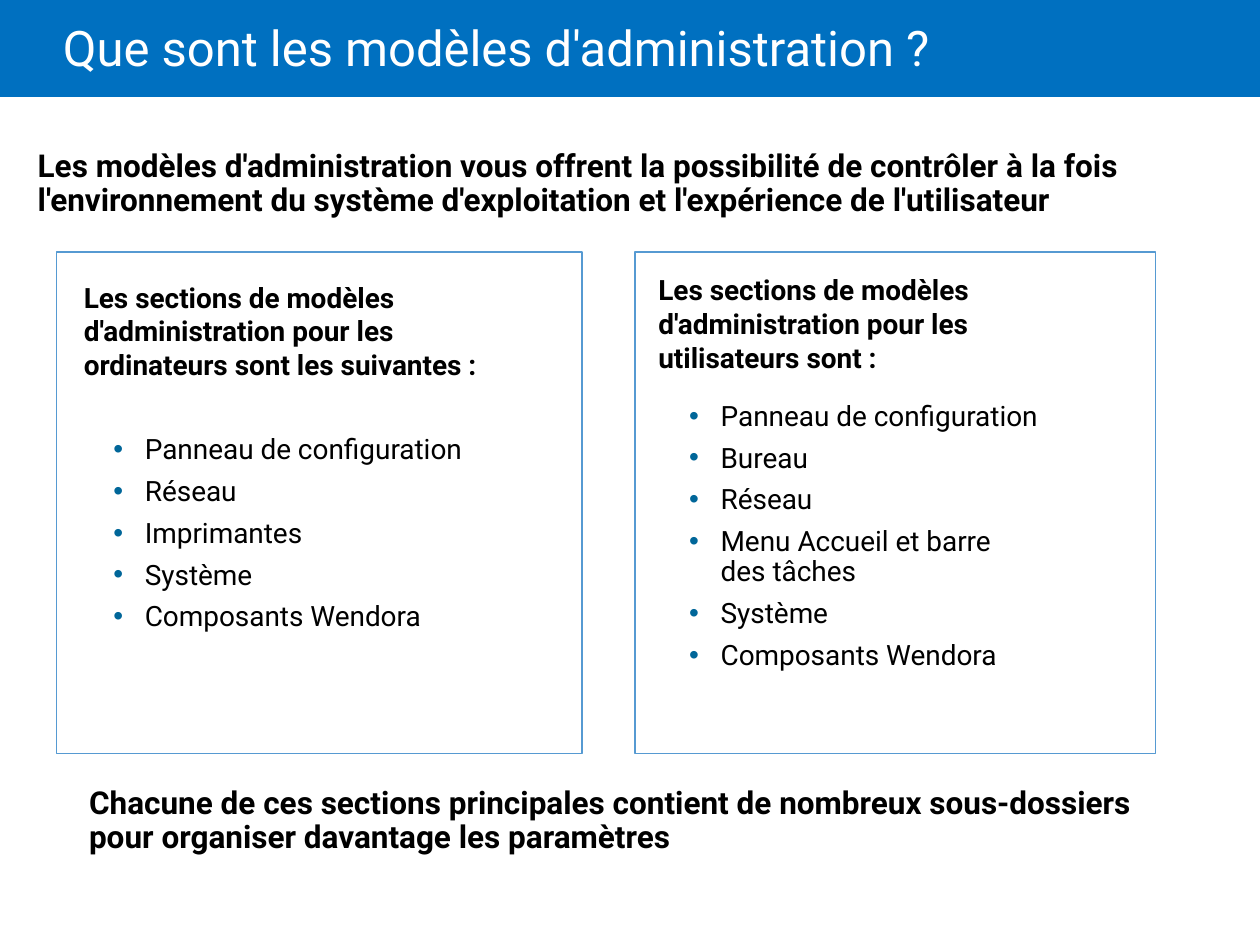
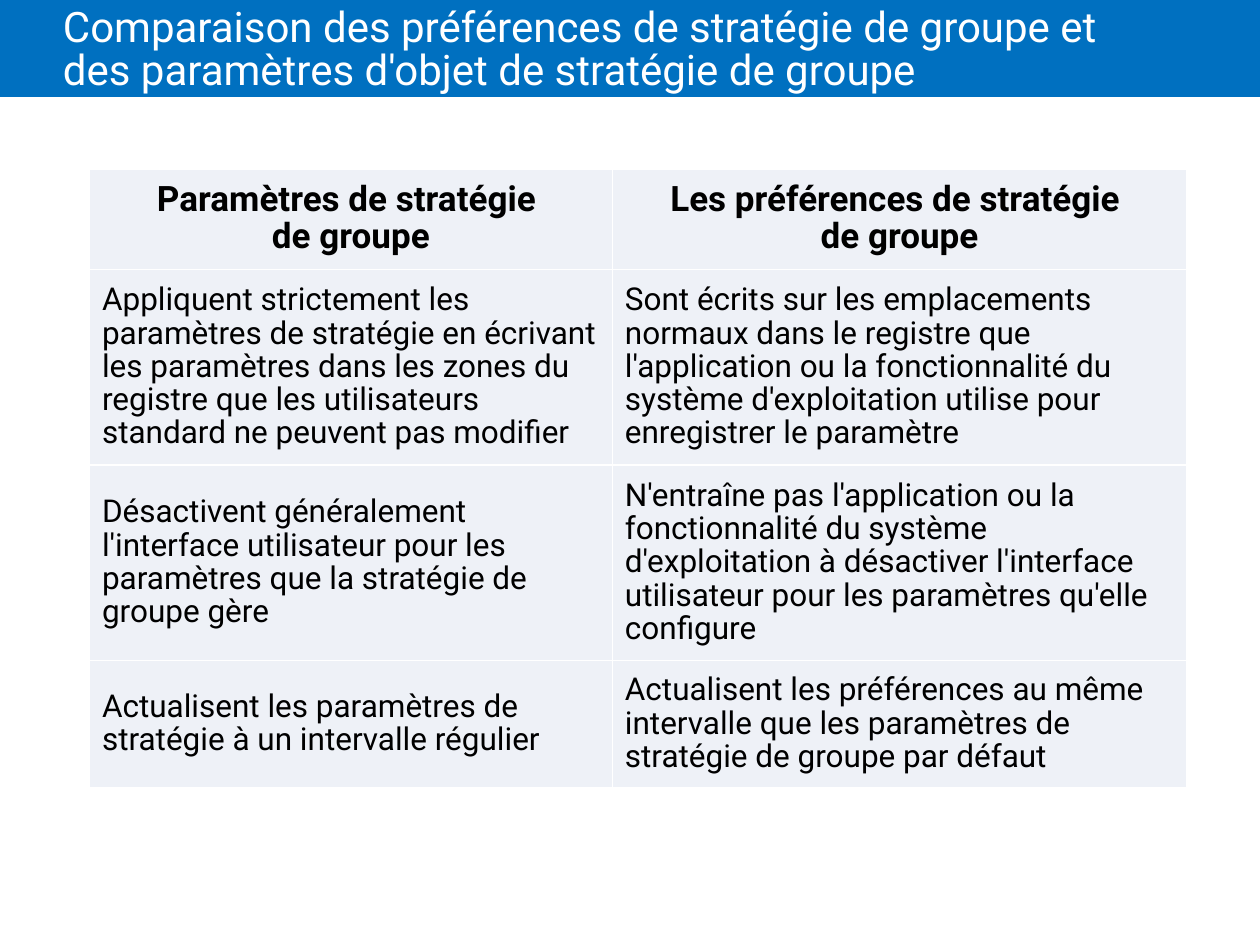
from copy import deepcopy
from dataclasses import dataclass

from lxml.etree import SubElement
from pptx import Presentation
from pptx.dml.color import RGBColor as Rgb
from pptx.enum.shapes import MSO_SHAPE as Preset
from pptx.enum.text import MSO_ANCHOR as Anchor, PP_ALIGN as Align
from pptx.oxml.ns import qn
from pptx.util import Inches, Pt

COLUMNS, ROWS = 100, 75
UNIT = Inches(0.1)


@dataclass(frozen=True)
class Theme:
    font: str = "Roboto"
    band: str = "0070C0"
    paper: str = "FFFFFF"
    ink: str = "000000"
    bullet: str = "006699"
    frame: str = "569AD2"
    cell: str = "EEF1F7"
    title_size: int = 28
    long_title_size: int = 24
    header_size: int = 20
    statement_size: int = 18
    list_size: int = 16
    frame_width: float = 0.75
    border_width: int = 1


THEME = Theme()


@dataclass(frozen=True)
class Box:
    left: float
    top: float
    width: float
    height: float

    def inside(self, column, row, width, height):
        return Box(self.left + column, self.top + row, width, height)

    def emu(self):
        return [round(n * UNIT) for n in (self.left, self.top, self.width, self.height)]


SLIDE = Box(0, 0, COLUMNS, ROWS)

ADMIN_TITLE = "Que sont les modèles d'administration ?"
ADMIN_INTRO = (
    "Les modèles d'administration vous offrent la possibilité de contrôler à la fois "
    "l'environnement du système d'exploitation et l'expérience de l'utilisateur"
)
ADMIN_SUMMARY = (
    "Chacune de ces sections principales contient de nombreux sous-dossiers "
    "pour organiser davantage les paramètres"
)
SECTION_LEAD = "Les sections de modèles d'administration pour les \v"
ADMIN_PANELS = [
    {
        "frame": (4.5, 20, 41.7, 39.8),
        "heading_at": (0.7, 1.3, 42.3, 38.3),
        "list_at": (3.2, 9.7, 36.8, 25.4),
        "audience": "ordinateurs sont les suivantes :",
        "sections": ["Panneau de configuration", "Réseau", "Imprimantes", "Système",
                     "Composants Wendora"],
    },
    {
        "frame": (50.4, 20, 41.3, 39.8),
        "heading_at": (0.4, 0.7, 43.4, 38.3),
        "list_at": (3, 9.9, 38.3, 25.4),
        "audience": "utilisateurs sont :",
        "sections": ["Panneau de configuration", "Bureau", "Réseau",
                     "Menu Accueil et barre \vdes tâches", "Système",
                     "Composants Wendora"],
    },
]

COMPARISON_TITLE = (
    "Comparaison des préférences de stratégie de groupe et "
    "des paramètres d'objet de stratégie de groupe"
)
COMPARISON_COLUMNS = [41.5, 45.6]
COMPARISON_ROWS = [7.8, 15.2, 15.2, 9.8]
COMPARISON = [
    ("Paramètres de stratégie \vde groupe",
     "Les préférences de stratégie \vde groupe"),
    ("Appliquent strictement les paramètres de stratégie en écrivant les paramètres "
     "dans les zones du registre que les utilisateurs standard ne peuvent pas modifier",
     "Sont écrits sur les emplacements normaux dans le registre que l'application ou la "
     "fonctionnalité du système d'exploitation utilise pour enregistrer le paramètre"),
    ("Désactivent généralement l'interface utilisateur pour les paramètres que la "
     "stratégie de groupe gère",
     "N'entraîne pas l'application ou la fonctionnalité du système d'exploitation à "
     "désactiver l'interface utilisateur pour les paramètres qu'elle configure"),
    ("Actualisent les paramètres de stratégie à un intervalle régulier",
     "Actualisent les préférences au même intervalle que les paramètres de stratégie "
     "de groupe par défaut"),
]


def apply(target, formats):
    for name, value in formats.items():
        setattr(target, name, value)


def margins(left, top, right, bottom):
    sides = {"left": left, "top": top, "right": right, "bottom": bottom}
    return {f"margin_{side}": Inches(inset) for side, inset in sides.items()}


def write(paragraph, text, size, color=THEME.ink, bold=False, **layout):
    paragraph.text = text
    apply(paragraph, {"alignment": Align.LEFT, **layout})
    for run in paragraph.runs:
        apply(run.font, {"name": THEME.font, "size": Pt(size), "bold": bold})
        run.font.color.rgb = Rgb.from_string(color)
    for line_break in paragraph._p.findall(qn("a:br")):
        line_break.insert(0, deepcopy(paragraph.runs[0]._r.rPr))


def add_bullet(paragraph):
    properties = paragraph._p.get_or_add_pPr()
    apply_indent = {"marL": Inches(0.25), "indent": -Inches(0.25)}
    for name, value in apply_indent.items():
        properties.set(name, str(value))
    color = SubElement(properties, qn("a:buClr"))
    SubElement(color, qn("a:srgbClr"), val=THEME.bullet)
    SubElement(properties, qn("a:buFont"), typeface="Arial")
    SubElement(properties, qn("a:buChar"), char="•")


def add_outline(slide, box, preset=Preset.RECTANGLE, fill=None, line=None):
    shape = slide.shapes.add_shape(preset, *box.emu())
    shape.shadow.inherit = False
    if fill:
        shape.fill.solid()
        shape.fill.fore_color.rgb = Rgb.from_string(fill)
    else:
        shape.fill.background()
    if line:
        shape.line.color.rgb = Rgb.from_string(line)
        shape.line.width = Pt(THEME.frame_width)
    else:
        shape.line.fill.background()
    return shape


def add_text_area(slide, box, anchor=Anchor.MIDDLE, vertical_inset=0.05):
    shape = add_outline(slide, box, Preset.ROUNDED_RECTANGLE)
    shape.adjustments[0] = 0.042
    apply(shape.text_frame, {"word_wrap": True, "vertical_anchor": anchor,
                             **margins(0.1, vertical_inset, 0.1, vertical_inset)})
    return shape.text_frame


def add_title_band(slide, box, title, size):
    add_outline(slide, box.inside(0, 0, box.width, 7.7), fill=THEME.band)
    frame = slide.shapes.add_textbox(*box.inside(5, 0, 85, 8.1).emu()).text_frame
    apply(frame, {"word_wrap": True, "vertical_anchor": Anchor.MIDDLE,
                  **margins(0, 0.05, 0.1, 0.05)})
    write(frame.paragraphs[0], title, size, THEME.paper, line_spacing=0.85)


def add_statement(slide, box, statement):
    frame = add_text_area(slide, box, vertical_inset=0.1)
    write(frame.paragraphs[0], statement, THEME.statement_size, bold=True,
          line_spacing=0.9)


def add_section_panel(slide, box, panel):
    heading = add_text_area(slide, box.inside(*panel["heading_at"]), Anchor.TOP)
    write(heading.paragraphs[0], SECTION_LEAD + panel["audience"], THEME.list_size,
          bold=True)
    sections = add_text_area(slide, box.inside(*panel["list_at"]))
    for index, section in enumerate(panel["sections"]):
        paragraph = sections.add_paragraph() if index else sections.paragraphs[0]
        write(paragraph, section, THEME.list_size, line_spacing=0.9,
              space_before=Pt(6.6 if index else 0))
        add_bullet(paragraph)
    add_outline(slide, box, line=THEME.frame)


def add_cell_borders(cell):
    properties = cell._tc.get_or_add_tcPr()
    for index, side in enumerate(("lnL", "lnR", "lnT", "lnB")):
        border = SubElement(properties, qn(f"a:{side}"), w=str(Pt(THEME.border_width)))
        fill = SubElement(border, qn("a:solidFill"))
        SubElement(fill, qn("a:srgbClr"), val=THEME.paper)
        properties.insert(index, border)


def add_comparison(slide, box):
    table = slide.shapes.add_table(len(COMPARISON_ROWS), len(COMPARISON_COLUMNS),
                                   *box.emu()).table
    apply(table, {"first_row": False, "horz_banding": False})
    for column, width in zip(table.columns, COMPARISON_COLUMNS):
        column.width = round(width * UNIT)
    for row, height, texts in zip(table.rows, COMPARISON_ROWS, COMPARISON):
        row.height = round(height * UNIT)
        header = texts is COMPARISON[0]
        for cell, text in zip(row.cells, texts):
            apply(cell, {"vertical_anchor": Anchor.MIDDLE,
                         **margins(0.1, 0.1, 0.1, 0.1)})
            cell.fill.solid()
            cell.fill.fore_color.rgb = Rgb.from_string(THEME.cell)
            add_cell_borders(cell)
            write(cell.text_frame.paragraphs[0], text,
                  THEME.header_size if header else THEME.statement_size,
                  bold=header, line_spacing=0.9,
                  alignment=Align.CENTER if header else Align.LEFT)


def build_admin_slide(slide, box):
    add_title_band(slide, box, ADMIN_TITLE, THEME.title_size)
    for panel in ADMIN_PANELS:
        add_section_panel(slide, box.inside(*panel["frame"]), panel)
    add_statement(slide, box.inside(1.9, 10, 96, 9.2), ADMIN_INTRO)
    add_statement(slide, box.inside(6, 61.7, 87.9, 6.9), ADMIN_SUMMARY)


def build_comparison_slide(slide, box):
    add_title_band(slide, box, COMPARISON_TITLE, THEME.long_title_size)
    add_comparison(slide, box.inside(7.1, 13.4, sum(COMPARISON_COLUMNS),
                                     sum(COMPARISON_ROWS)))


def main():
    deck = Presentation()
    apply(deck, {"slide_width": COLUMNS * UNIT, "slide_height": ROWS * UNIT})
    blank = deck.slide_layouts[6]
    for build in (build_admin_slide, build_comparison_slide):
        build(deck.slides.add_slide(blank), SLIDE)
    deck.save("out.pptx")


if __name__ == "__main__":
    main()
